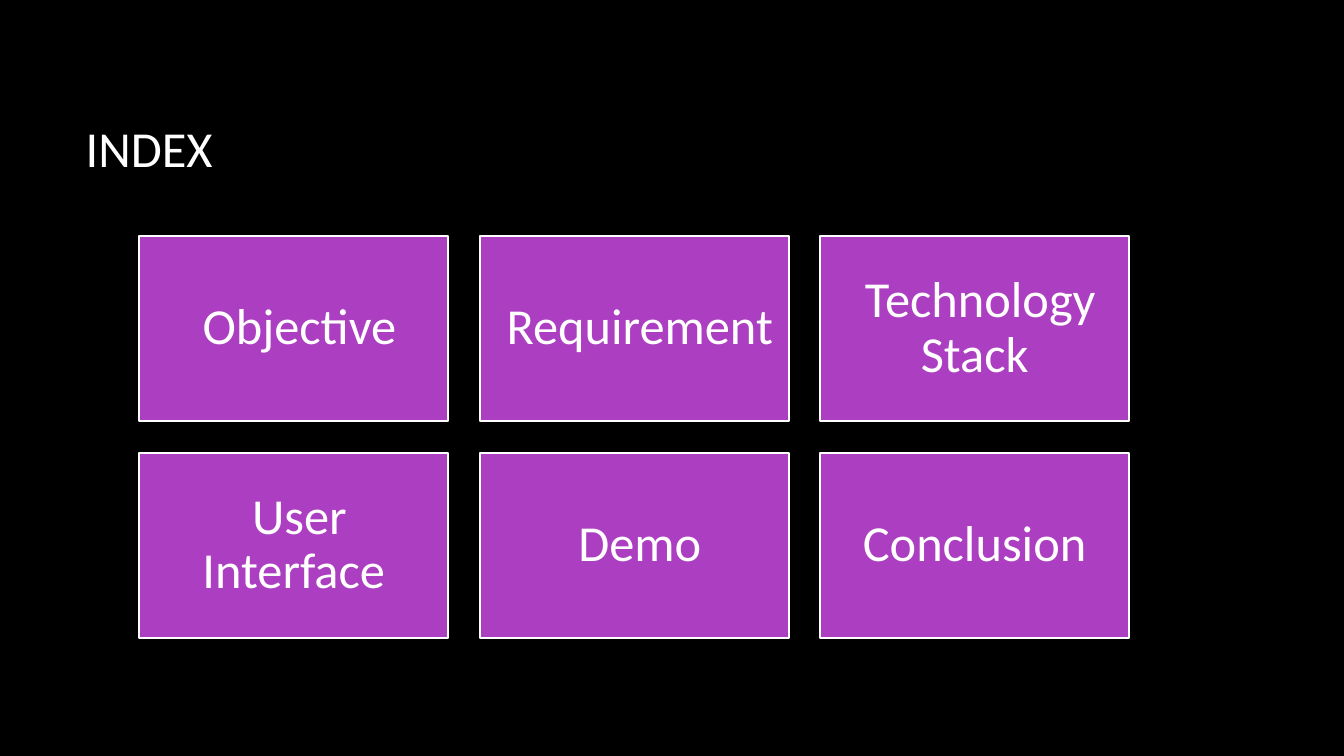
from pptx import Presentation
from pptx.dml.color import RGBColor as RGB
from pptx.enum.shapes import MSO_SHAPE as SHAPE
from pptx.enum.text import MSO_ANCHOR as ANCHOR, MSO_AUTO_SIZE as FIT, PP_ALIGN as ALIGN
from pptx.util import Inches, Pt

COLORS = {"background": "000000", "card": "AC3EC1", "text": "FFFFFF"}
FONT = {"name": "Calibri", "size": Pt(36), "bold": False}
FRAME = {"word_wrap": True, "auto_size": FIT.NONE, "vertical_anchor": ANCHOR.MIDDLE}
CARD_FRAME = FRAME | {f"margin_{side}": Inches(0.15)
                      for side in ("left", "top", "right", "bottom")}
TOPICS = [" Objective", " Requirement", " Technology Stack",
          " User Interface", " Demo", "Conclusion"]


def color(name):
    """Return the named palette colour."""
    return RGB.from_string(COLORS[name])


def apply(target, values):
    """Set each attribute of target from values."""
    for name, value in values.items():
        setattr(target, name, value)


def write(sp, text, frame, para):
    """Fill a shape with one formatted paragraph."""
    tf = sp.text_frame
    apply(tf, frame)
    p = tf.paragraphs[0]
    apply(p, para)
    r = p.add_run()
    r.text = text
    apply(r.font, FONT)
    r.font.color.rgb = color("text")


def add_title(s, text, left, top, width, height):
    """Place the slide title in the given box."""
    sp = s.shapes.title
    apply(sp, {"left": Inches(left), "top": Inches(top),
               "width": Inches(width), "height": Inches(height)})
    write(sp, text, FRAME, {"alignment": ALIGN.LEFT})


def add_cards(s, topics, left, top, width, height, cols=3, gap=0.31):
    """Lay out topic cards in an evenly spaced grid."""
    rows = -(-len(topics) // cols)
    card_w = (width - gap * (cols - 1)) / cols
    card_h = (height - gap * (rows - 1)) / rows
    for i, topic in enumerate(topics):
        row, col = divmod(i, cols)
        sp = s.shapes.add_shape(
            SHAPE.RECTANGLE,
            Inches(left + col * (card_w + gap)), Inches(top + row * (card_h + gap)),
            Inches(card_w), Inches(card_h))
        sp.shadow.inherit = False
        sp.fill.solid()
        sp.fill.fore_color.rgb = color("card")
        sp.line.color.rgb = color("text")
        sp.line.width = Pt(1.5)
        write(sp, topic, CARD_FRAME, {"alignment": ALIGN.CENTER, "line_spacing": 0.9})


def main():
    """Build and save the index slide."""
    prs = Presentation()
    prs.slide_width, prs.slide_height = Inches(13.33), Inches(7.5)
    s = prs.slides.add_slide(prs.slide_layouts[5])
    s.background.fill.solid()
    s.background.fill.fore_color.rgb = color("background")
    add_title(s, "INDEX", 0.75, 0.67, 11.08, 1.59)
    add_cards(s, TOPICS, 1.38, 2.34, 9.82, 3.99)
    prs.save("out.pptx")


if __name__ == "__main__":
    main()
